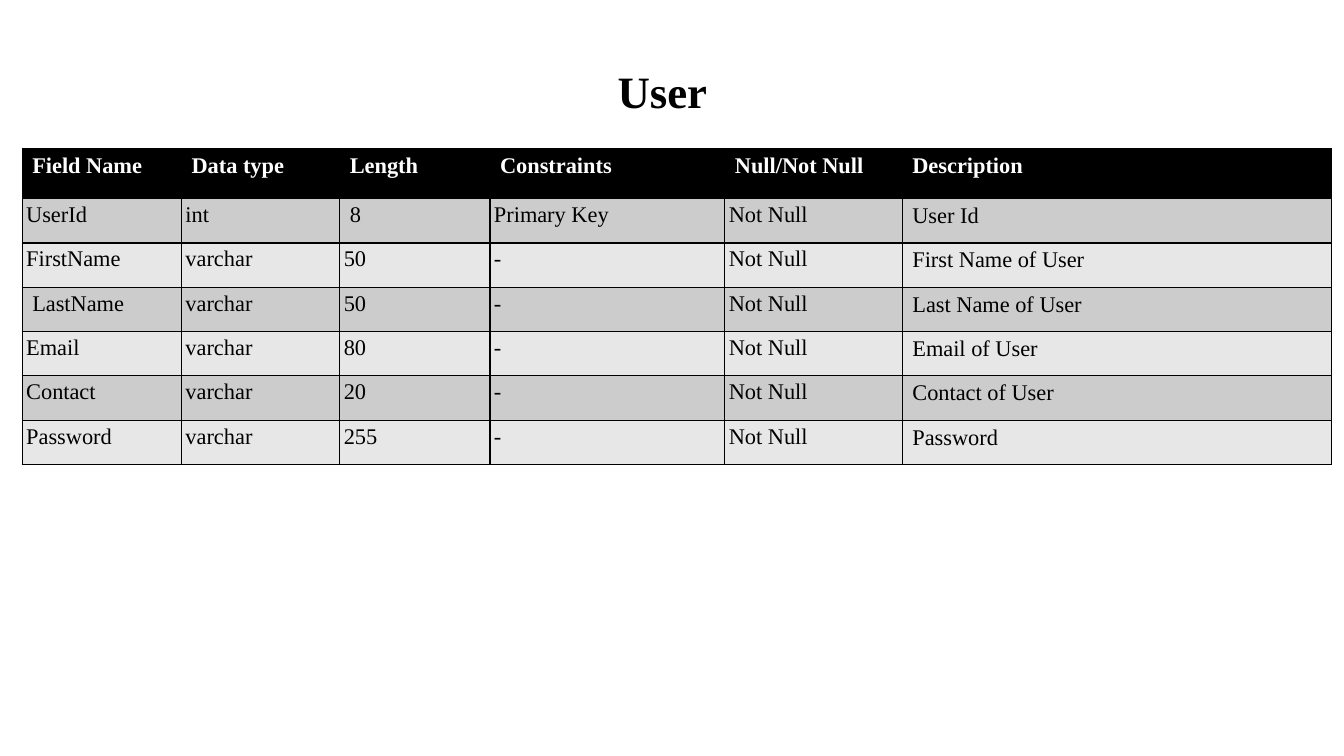
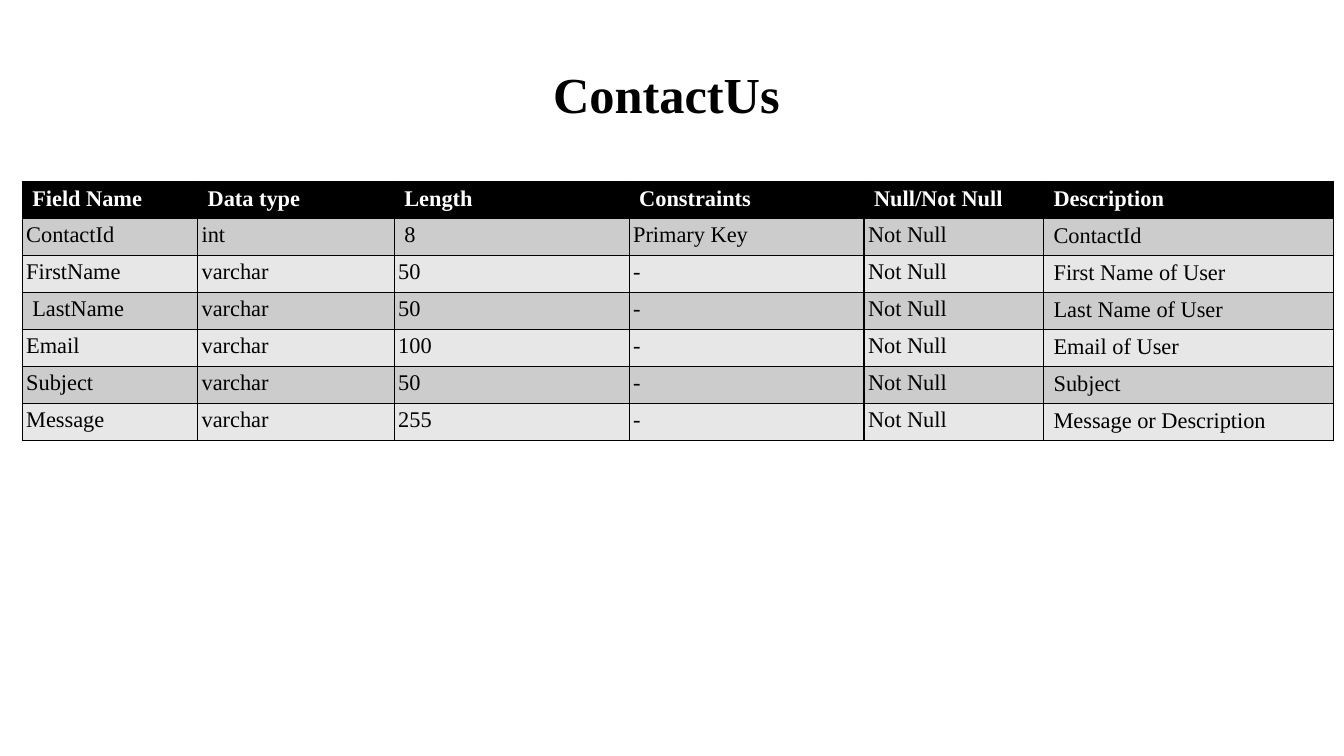
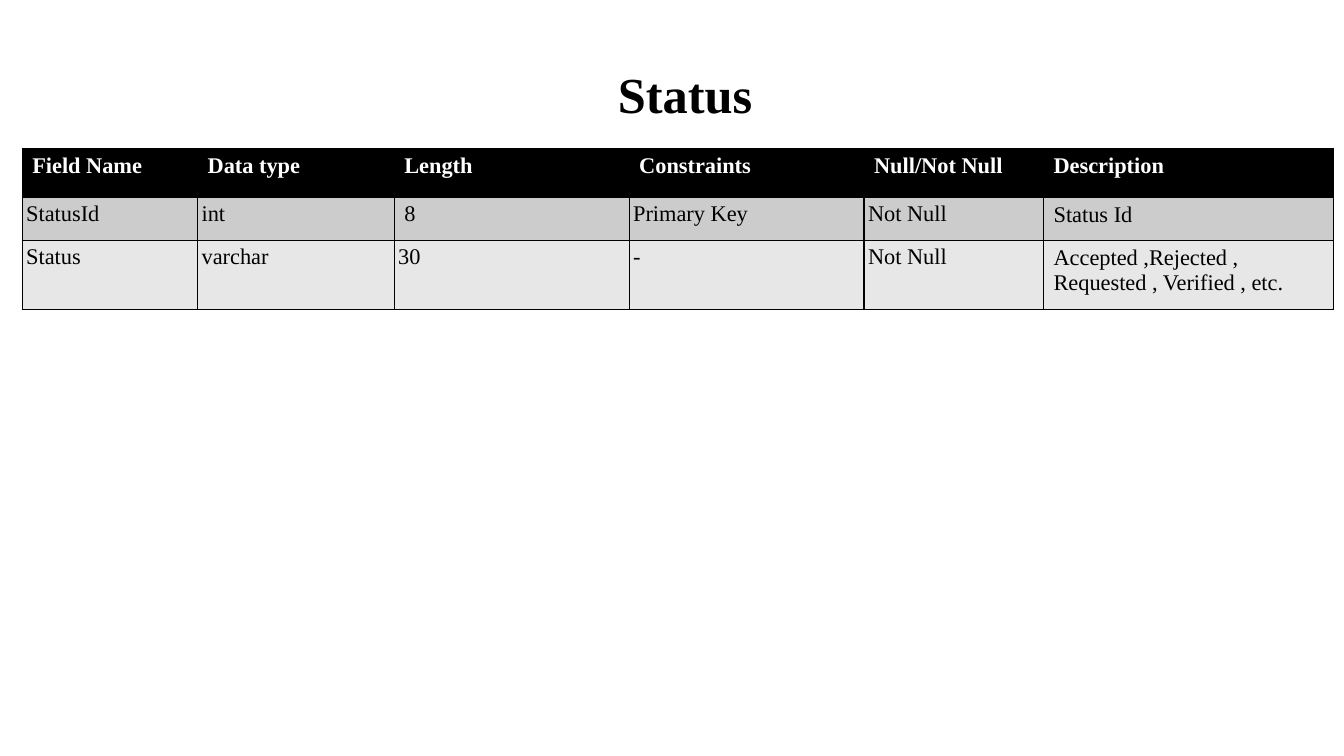
import pptx
import pptx.util
import pptx.dml.color
import pptx.enum.text
import pptx.oxml
import pptx.oxml.ns

Inches = pptx.util.Inches
RGBColor = pptx.dml.color.RGBColor

BLACK = RGBColor(0x00, 0x00, 0x00)
WHITE = RGBColor(0xFF, 0xFF, 0xFF)
DARK_BAND = RGBColor(0xCC, 0xCC, 0xCC)
LIGHT_BAND = RGBColor(0xE7, 0xE7, 0xE7)
FONT = "Times New Roman"
TITLE_ONLY = 5
TABLE_LEFT = 0.22
TABLE_WIDTH = 13
TITLE_TOP = 0.58
TEXT_SIZE = 16
WIDE_INSET = 0.1
TIGHT_INSET = 0.04
INDENTED = ("8", "LastName")
HEADINGS = ("Field Name", "Data type", "Length", "Constraints", "Null/Not Null", "Description")
USER_COLUMNS = (1.58, 1.57, 1.49, 2.33, 1.76, 4.26)
COMMON_COLUMNS = (1.74, 1.95, 2.33, 2.33, 1.78, 2.88)

USER_FIELDS = (
    ("UserId", "int", "8", "Primary Key", "User Id"),
    ("FirstName", "varchar", "50", "-", "First Name of User"),
    ("LastName", "varchar", "50", "-", "Last Name of User"),
    ("Email", "varchar", "80", "-", "Email of User"),
    ("Contact", "varchar", "20", "-", "Contact of User"),
    ("Password", "varchar", "255", "-", "Password"),
)
CONTACT_FIELDS = (
    ("ContactId", "int", "8", "Primary Key", "ContactId"),
    ("FirstName", "varchar", "50", "-", "First Name of User"),
    ("LastName", "varchar", "50", "-", "Last Name of User"),
    ("Email", "varchar", "100", "-", "Email of User"),
    ("Subject", "varchar", "50", "-", "Subject"),
    ("Message", "varchar", "255", "-", "Message or Description"),
)
STATUS_FIELDS = (
    ("StatusId", "int", "8", "Primary Key", "Status Id"),
    ("Status", "varchar", "30", "-", "Accepted ,Rejected , Requested , Verified , etc."),
)


def add_span(para, text, size, color, bold):
    """Add one formatted run to a paragraph."""
    span = para.add_run()
    span.text = text
    span.font.name = FONT
    span.font.size = pptx.util.Pt(size)
    span.font.bold = bold
    span.font.color.rgb = color


def place_title(page, text, size, left, width, height, inset=WIDE_INSET):
    """Place the centred bold title in its box."""
    title = page.shapes.title
    title.left, title.top = Inches(left), Inches(TITLE_TOP)
    title.width, title.height = Inches(width), Inches(height)
    frame = title.text_frame
    frame.word_wrap = True
    frame.auto_size = pptx.enum.text.MSO_AUTO_SIZE.SHAPE_TO_FIT_TEXT
    frame.vertical_anchor = pptx.enum.text.MSO_ANCHOR.TOP
    frame.margin_left = Inches(inset)
    para = frame.paragraphs[0]
    para.alignment = pptx.enum.text.PP_ALIGN.CENTER
    add_span(para, text, size, BLACK, True)


def draw_borders(cell):
    """Draw a thin black line on each side of a cell."""
    properties = cell._tc.get_or_add_tcPr()
    for side in ("lnL", "lnR", "lnT", "lnB"):
        properties.append(pptx.oxml.parse_xml(
            f'<a:{side} {pptx.oxml.ns.nsdecls("a")} w="{pptx.util.Pt(1)}">'
            f'<a:solidFill><a:srgbClr val="{BLACK}"/></a:solidFill></a:{side}>'))


def fill_cell(cell, text, fill, color, bold, tight):
    """Give a cell its borders, fill, insets and text."""
    draw_borders(cell)
    cell.fill.solid()
    cell.fill.fore_color.rgb = fill
    if tight:
        cell.margin_right = cell.margin_top = cell.margin_bottom = Inches(TIGHT_INSET)
        cell.margin_left = Inches(WIDE_INSET if text in INDENTED else TIGHT_INSET)
    add_span(cell.text_frame.paragraphs[0], text, TEXT_SIZE, color, bold)


def place_table(page, fields, top, columns, heights):
    """Place a banded table of field definitions below the title."""
    table = page.shapes.add_table(
        len(heights), len(columns), Inches(TABLE_LEFT), Inches(top),
        Inches(TABLE_WIDTH), Inches(sum(heights))).table
    for column, width in zip(table.columns, columns):
        column.width = Inches(width)
    for row, height in zip(table.rows, heights):
        row.height = Inches(height)
    for index, heading in enumerate(HEADINGS):
        fill_cell(table.cell(0, index), heading, BLACK, WHITE, True, False)
    last = len(HEADINGS) - 1
    for number, (*facts, description) in enumerate(fields, 1):
        band = DARK_BAND if number % 2 else LIGHT_BAND
        for index, text in enumerate((*facts, "Not Null", description)):
            fill_cell(table.cell(number, index), text, band, BLACK, False, index < last)


def main():
    """Build the deck of table definitions."""
    deck = pptx.Presentation()
    deck.slide_width, deck.slide_height = Inches(13.33), Inches(7.5)
    layout = deck.slide_layouts[TITLE_ONLY]

    page = deck.slides.add_slide(layout)
    place_title(page, "User", 32, 0.22, 12.7, 0.64)
    place_table(page, USER_FIELDS, 1.47, USER_COLUMNS, [0.5] + [0.44] * 6)

    page = deck.slides.add_slide(layout)
    place_title(page, "ContactUs", 36, 0, 13.22, 0.71)
    place_table(page, CONTACT_FIELDS, 1.8, COMMON_COLUMNS, [0.35] * 7)

    page = deck.slides.add_slide(layout)
    place_title(page, "Status", 36, 0.22, 12.65, 0.71, inset=0.6)
    place_table(page, STATUS_FIELDS, 1.47, COMMON_COLUMNS, [0.49, 0.43, 0.68])

    deck.save("out.pptx")


if __name__ == "__main__":
    main()
